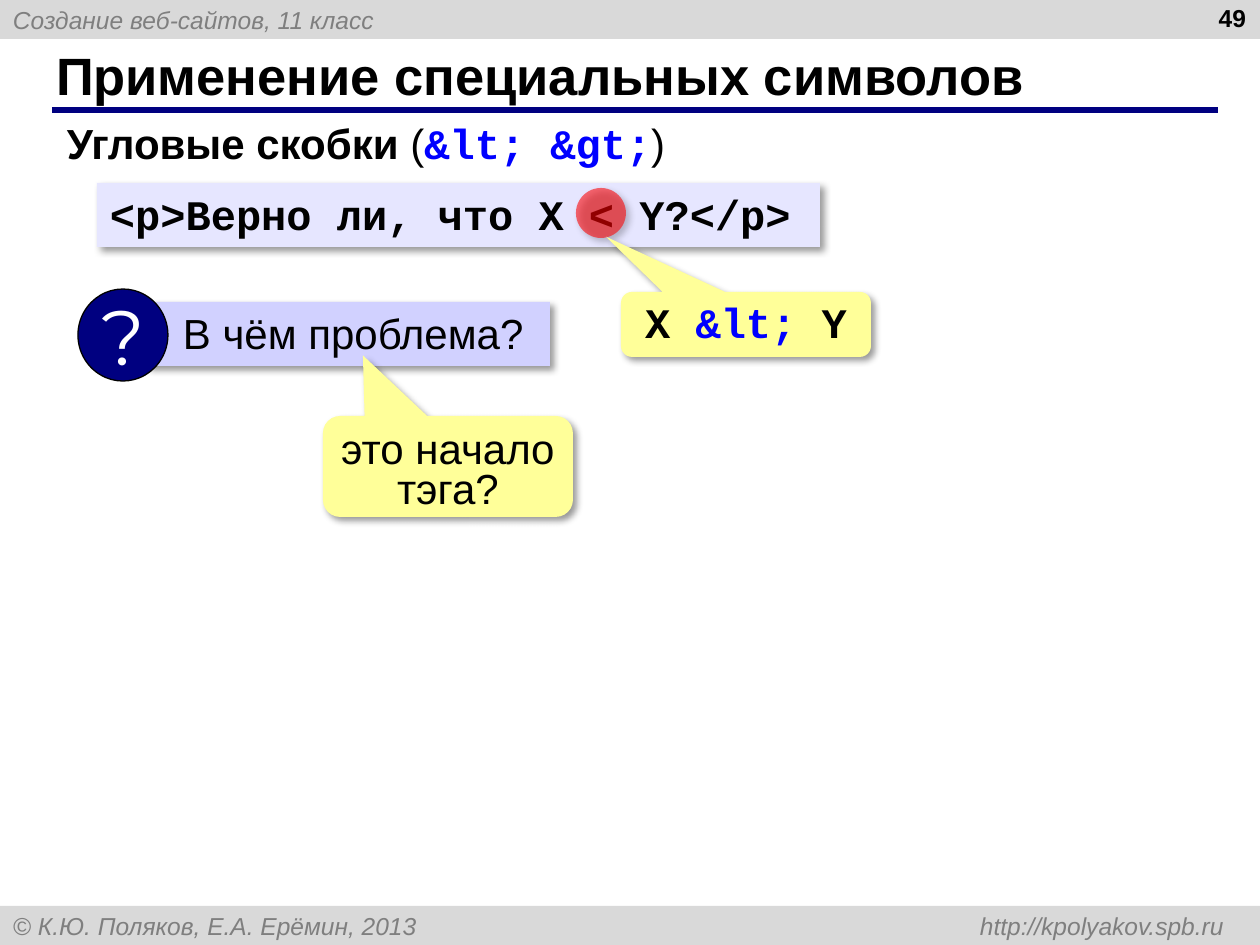
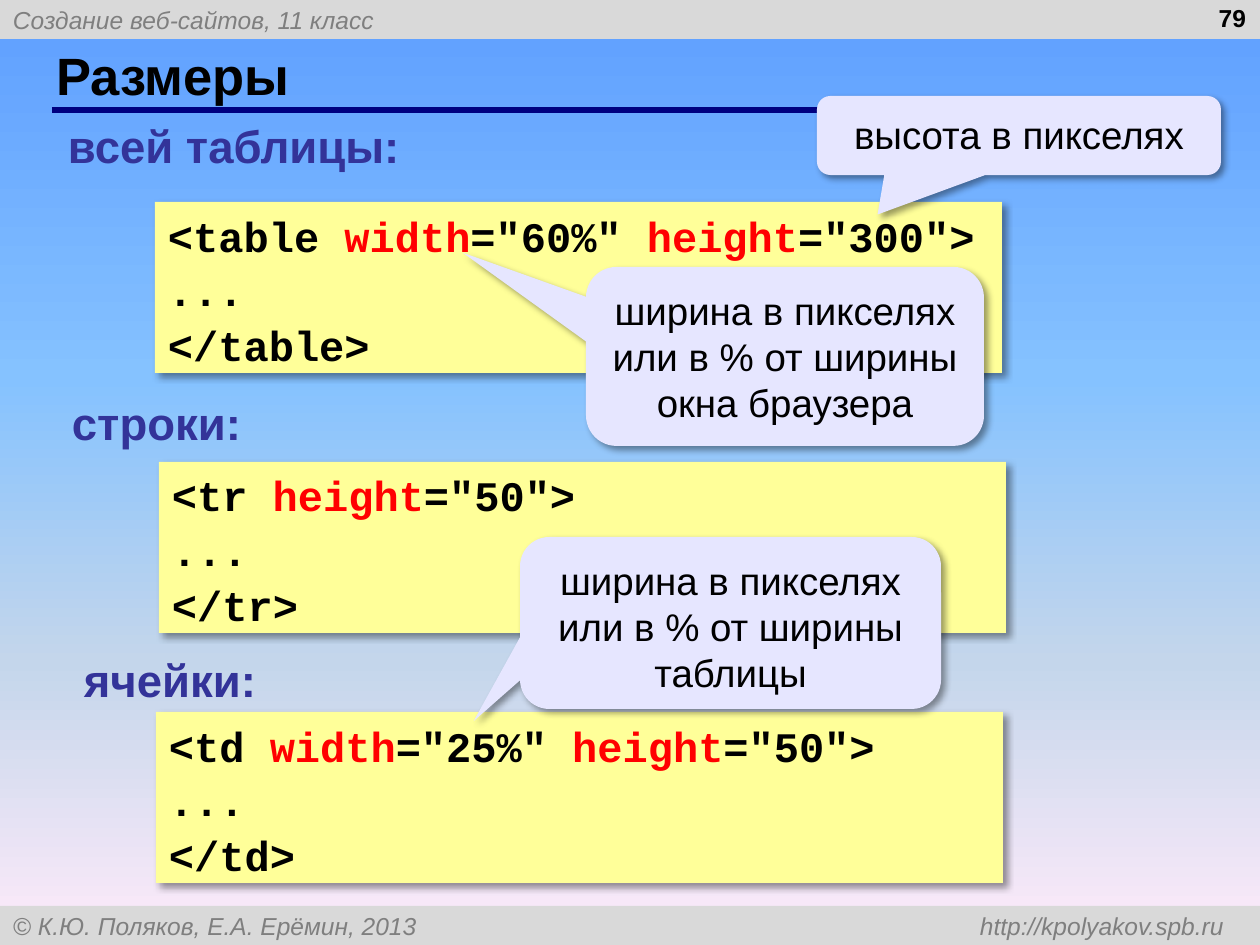
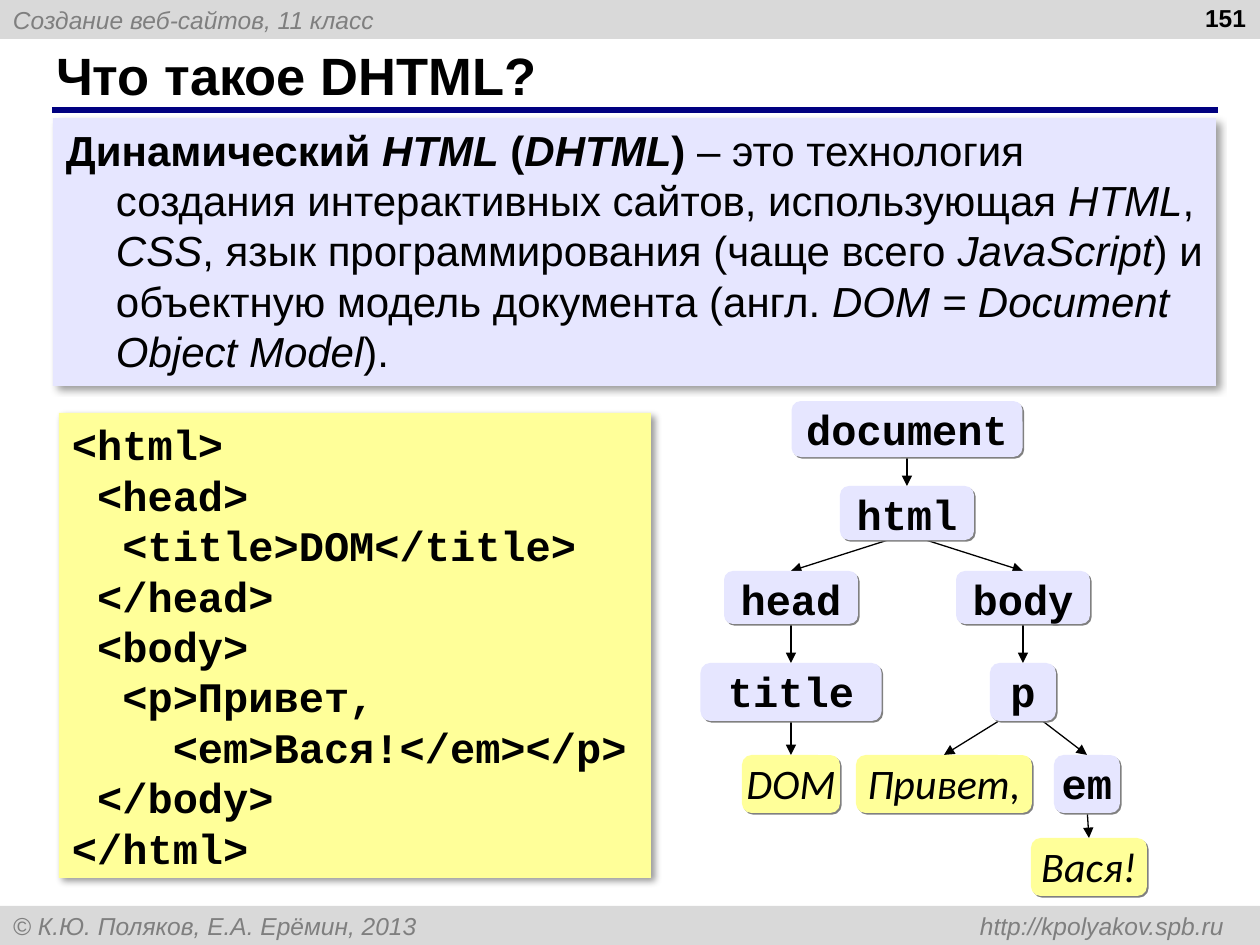
import pptx
import pptx.util
import pptx.dml.color
import pptx.enum.dml
import pptx.enum.shapes
import pptx.enum.text
import pptx.oxml.ns
import lxml.etree

PX = 914400 / 126
WIDTH, HEIGHT, BAND = 1260, 945, 39
COLORS = {
    "black": "000000", "white": "FFFFFF", "band": "D9D9D9", "muted": "7F7F7F",
    "navy": "000080", "heading": "333399", "lilac": "E6E6FF", "question": "D1D1FF",
    "yellow": "FFFF99", "red": "FF0000", "blue": "0000FF", "edge": "808080",
}
SKY = [(0, "5E9EFF"), (40, "85C2FF"), (70, "C4D6EB"), (100, "FFEBFA")]
SOFT_SHADOW = ("black", 40, 4, 3)
HARD_SHADOW = ("edge", 100, 0, 1.4)
CODE = {"name": "Courier New", "size": 24, "bold": True}
BODY = {"name": "Arial", "size": 24}
NOTE = {"name": "Arial", "size": 22}
LEAF = {"name": "Calibri", "size": 24, "italic": True}
HEADING = {"name": "Arial", "size": 26, "bold": True, "color": "heading"}
BAND_FONT = {"name": "Arial", "size": 14, "italic": True, "color": "muted"}
INSETS = (13, 6, 13, 6)
CALLOUT_INSETS = (13, 11, 13, 6)
SHAPE = pptx.enum.shapes.MSO_SHAPE
ALIGN = pptx.enum.text.PP_ALIGN
ANCHOR = pptx.enum.text.MSO_ANCHOR


def px(*lengths):
    return [pptx.util.Emu(round(length * PX)) for length in lengths]


def rgb(name):
    return pptx.dml.color.RGBColor.from_string(COLORS[name])


def add_element(parent, tag, **attributes):
    element = lxml.etree.SubElement(parent, pptx.oxml.ns.qn(tag))
    for key, value in attributes.items():
        element.set(key, str(value))
    return element


def set_font(font, name=None, size=None, bold=None, italic=None, color=None):
    if name:
        font.name = name
    if size:
        font.size = pptx.util.Pt(size)
    if bold is not None:
        font.bold = bold
    if italic is not None:
        font.italic = italic
    if color:
        font.color.rgb = rgb(color)


def write(box, paragraphs, font, align=ALIGN.LEFT, anchor=ANCHOR.TOP, insets=INSETS,
          line_spacing=None, gap=None, hanging=0, tab=None):
    frame = box.text_frame
    frame.word_wrap = True
    frame.auto_size = pptx.enum.text.MSO_AUTO_SIZE.NONE
    frame.vertical_anchor = anchor
    (frame.margin_left, frame.margin_top,
     frame.margin_right, frame.margin_bottom) = px(*insets)
    for index, spans in enumerate(paragraphs):
        para = frame.add_paragraph() if index else frame.paragraphs[0]
        para.alignment = align
        if line_spacing:
            para.line_spacing = line_spacing
        if gap and index:
            para.space_before = pptx.util.Pt(gap)
        properties = para._p.get_or_add_pPr()
        if hanging:
            properties.set("marL", str(px(hanging)[0]))
            properties.set("indent", str(px(-hanging)[0]))
        if tab:
            tabs = add_element(properties, "a:tabLst")
            add_element(tabs, "a:tab", pos=px(tab)[0], algn="r")
        set_font(para.font, **{"color": "black", **font})
        for text, changes in [(spans, {})] if isinstance(spans, str) else spans:
            span = para.add_run()
            span.text = text
            set_font(span.font, **changes)


def add_shadow(shape, color, opacity, blur, distance):
    effects = shape._element.spPr.find(pptx.oxml.ns.qn("a:effectLst"))
    shadow = add_element(effects, "a:outerShdw", blurRad=pptx.util.Pt(blur),
                         dist=pptx.util.Pt(distance), dir=45 * 60000,
                         algn="tl", rotWithShape=0)
    tint = add_element(shadow, "a:srgbClr", val=COLORS[color])
    add_element(tint, "a:alpha", val=opacity * 1000)


def add_panel(shapes, box, fill, kind=SHAPE.RECTANGLE, shadow=SOFT_SHADOW):
    panel = shapes.add_shape(kind, *px(*box))
    panel.shadow.inherit = False
    panel.fill.solid()
    panel.fill.fore_color.rgb = rgb(fill)
    panel.line.fill.background()
    if shadow:
        add_shadow(panel, *shadow)
    return panel


def add_line(page, start, end, color, width):
    line = page.shapes.add_connector(pptx.enum.shapes.MSO_CONNECTOR.STRAIGHT,
                                     *px(*start, *end))
    line.line.color.rgb = rgb(color)
    line.line.width = pptx.util.Pt(width)
    add_element(line._element.spPr, "a:effectLst")
    return line


def add_band(page, top, text):
    band = add_panel(page.shapes, (0, top, WIDTH, BAND), "band", shadow=None)
    write(band, [text], BAND_FONT, anchor=ANCHOR.MIDDLE, tab=1211)


def add_label(page, box, spans, font, **layout):
    write(page.shapes.add_textbox(*px(*box)), [spans], font, **layout)


def add_page(deck, title, number):
    page = deck.slides.add_slide(deck.slide_layouts[5])
    add_band(page, 0, "Создание веб-сайтов, 11 класс")
    add_band(page, HEIGHT - BAND, "© К.Ю. Поляков, Е.А. Ерёмин, 2013\thttp://kpolyakov.spb.ru")
    add_line(page, (52, 110), (1218, 110), "navy", 3)
    heading = page.shapes.title
    heading.left, heading.top, heading.width, heading.height = px(43, 42, 1154, 66)
    write(heading, [title], {"name": "Arial", "size": 30, "bold": True}, anchor=ANCHOR.MIDDLE)
    add_label(page, (965, 0, 294, 39), number, {"name": "Arial", "size": 14, "bold": True},
              align=ALIGN.RIGHT, insets=(13, 3, 13, 0))
    return page


def add_callout(page, box, tip, spans, fill, font, line_spacing=None):
    callout = add_panel(page.shapes, box, fill, SHAPE.ROUNDED_RECTANGULAR_CALLOUT)
    for index, value in enumerate((*tip, 0.17)):
        callout.adjustments[index] = value
    write(callout, [spans], font, ALIGN.CENTER, insets=CALLOUT_INSETS, line_spacing=line_spacing)


def add_question(page, left, top, text):
    group = page.shapes.add_group_shape()
    panel = add_panel(group.shapes, (left + 69, top + 13, 403, 64), "question")
    write(panel, [text], BODY, insets=(36, 6, 13, 6))
    badge = add_panel(group.shapes, (left, top, 90, 92), "navy", SHAPE.OVAL, None)
    badge.line.color.rgb = rgb("black")
    badge.line.width = pptx.util.Pt(0.75)
    write(badge, ["?"], {"name": "Montserrat", "size": 44, "color": "white"},
          ALIGN.CENTER, ANCHOR.MIDDLE, (0, 0, 0, 0))


def add_marker(page, box):
    marker = add_panel(page.shapes, box, "red", SHAPE.OVAL)
    tint = marker._element.spPr.find(pptx.oxml.ns.qn("a:solidFill"))[0]
    add_element(tint, "a:alpha", val=57000)


def build_symbols(deck):
    page = add_page(deck, "Применение специальных символов", "49")
    add_label(page, (54, 112, 640, 64),
              [("Угловые скобки", {"bold": True}), (" (", {}),
               ("&lt; &gt;", {"name": "Courier New", "bold": True, "color": "blue"}),
               (")", {})], BODY)
    code = add_panel(page.shapes, (97, 183, 723, 64), "lilac")
    write(code, ["<p>Верно ли, что X < Y?</p>"], CODE)
    add_question(page, 78, 289, "В чём проблема?")
    add_marker(page, (576, 188, 50, 50))
    add_callout(page, (621, 292, 250, 65), (-0.56, -1.35),
                [("X ", {}), ("&lt;", {"color": "blue"}), (" Y", {})], "yellow", CODE, 0.8)
    add_callout(page, (323, 416, 250, 101), (-0.34, -1.1), "это начало тэга?",
                "yellow", BODY, 0.8)


def paint_sky(page):
    fill = page.background.fill
    fill.gradient()
    fill.gradient_angle = 270
    stops = page.element.find(".//" + pptx.oxml.ns.qn("a:gsLst"))
    for stop in list(stops):
        stops.remove(stop)
    for position, color in SKY:
        add_element(add_element(stops, "a:gs", pos=position * 1000), "a:srgbClr", val=color)


def add_tag_section(page, label, label_at, code_at, tag, attributes):
    add_label(page, (*label_at, 380, 67), label, HEADING)
    opening = [(f"<{tag}", {})]
    for name, value in attributes:
        opening += [(" ", {}), (name, {"color": "red"}), (f'="{value}"', {})]
    opening.append((">", {}))
    code = add_panel(page.shapes, (*code_at, 847, 171), "yellow")
    write(code, [opening, "...", f"</{tag}>"], CODE, insets=(13, 8, 13, 6), gap=2.4)


def build_sizes(deck):
    page = add_page(deck, "Размеры", "79")
    paint_sky(page)
    add_tag_section(page, "всей таблицы:", (55, 112), (155, 202), "table",
                    [("width", "60%"), ("height", "300")])
    add_tag_section(page, "строки:", (59, 389), (159, 462), "tr", [("height", "50")])
    add_tag_section(page, "ячейки:", (71, 646), (156, 712), "td",
                    [("width", "25%"), ("height", "50")])
    for box, tip, text in [
        ((586, 267, 398, 179), (-0.81, -0.58), "ширина в пикселях или в % от ширины окна браузера"),
        ((817, 96, 404, 79), (-0.35, 1), "высота в пикселях"),
        ((520, 537, 421, 172), (-0.61, 0.57), "ширина в пикселях или в % от ширины таблицы"),
    ]:
        add_callout(page, box, tip, text, "lilac", NOTE)


def add_definition(page, box):
    bold, italic = {"bold": True}, {"italic": True}
    panel = add_panel(page.shapes, box, "lilac")
    write(panel, [[
        ("Динамический ", bold), ("HTML", {**bold, **italic}), (" (", bold),
        ("DHTML", {**bold, **italic}), (") ", bold),
        ("– это технология создания интерактивных сайтов, использующая ", {}),
        ("HTML", italic), (", ", {}), ("CSS", italic),
        (", язык программирования (чаще всего ", {}), ("JavaScript", italic),
        (") и объектную модель документа (англ. ", {}),
        ("DOM = Document Object Model", italic), (").", {}),
    ]], BODY, hanging=50)


def add_tree(page, left, top):
    nodes = {}
    for text, center, offset, width, height, leaf in [
        ("document", 207, 0, 231, 56, False),
        ("html", 207, 85, 134, 54, False),
        ("head", 91, 170, 134, 53, False),
        ("body", 323, 170, 134, 53, False),
        ("title", 91, 262, 181, 58, False),
        ("p", 323, 262, 66, 58, False),
        ("DOM", 91, 354, 98, 58, True),
        ("Привет,", 244, 354, 176, 58, True),
        ("em", 387, 354, 66, 58, False),
        ("Вася!", 389, 437, 116, 58, True),
    ]:
        box = (left + center - width / 2, top + offset, width, height)
        node = add_panel(page.shapes, box, "yellow" if leaf else "lilac",
                         SHAPE.ROUNDED_RECTANGLE, HARD_SHADOW)
        write(node, [text], LEAF if leaf else CODE, ALIGN.CENTER, insets=(0, 0, 0, 0))
        nodes[text] = (node, left + center, top + offset, height)
    root = nodes["document"][0]
    for parent, child, depth in [
        ("document", "html", 19), ("html", "head", 6), ("html", "body", 6),
        ("head", "title", 10), ("body", "p", 10), ("title", "DOM", 15),
        ("p", "Привет,", 15), ("p", "em", 15), ("em", "Вася!", 6),
    ]:
        _, start, upper, height = nodes[parent]
        target, end, lower, _ = nodes[child]
        arrow = add_line(page, (start, upper + height - depth), (end, lower), "black", 0.75)
        arrow.end_connect(target, 0)
        add_element(arrow.line._get_or_add_ln(), "a:tailEnd", type="triangle")
        root._element.addprevious(arrow._element)


def build_dhtml(deck):
    page = add_page(deck, "Что такое DHTML?", "151")
    add_definition(page, (53, 118, 1163, 268))
    code = add_panel(page.shapes, (59, 413, 592, 465), "yellow")
    write(code, [
        "<html>",
        " <head>",
        "  <title>DOM</title>",
        " </head>",
        " <body>",
        "  <p>Привет,",
        "    <em>Вася!</em></p>",
        " </body>",
        "</html>",
    ], CODE, insets=(13, 6, 0, 6))
    add_tree(page, 700, 401)


def main():
    deck = pptx.Presentation()
    deck.slide_width, deck.slide_height = px(WIDTH, HEIGHT)
    build_symbols(deck)
    build_sizes(deck)
    build_dhtml(deck)
    deck.save("out.pptx")


if __name__ == "__main__":
    main()
